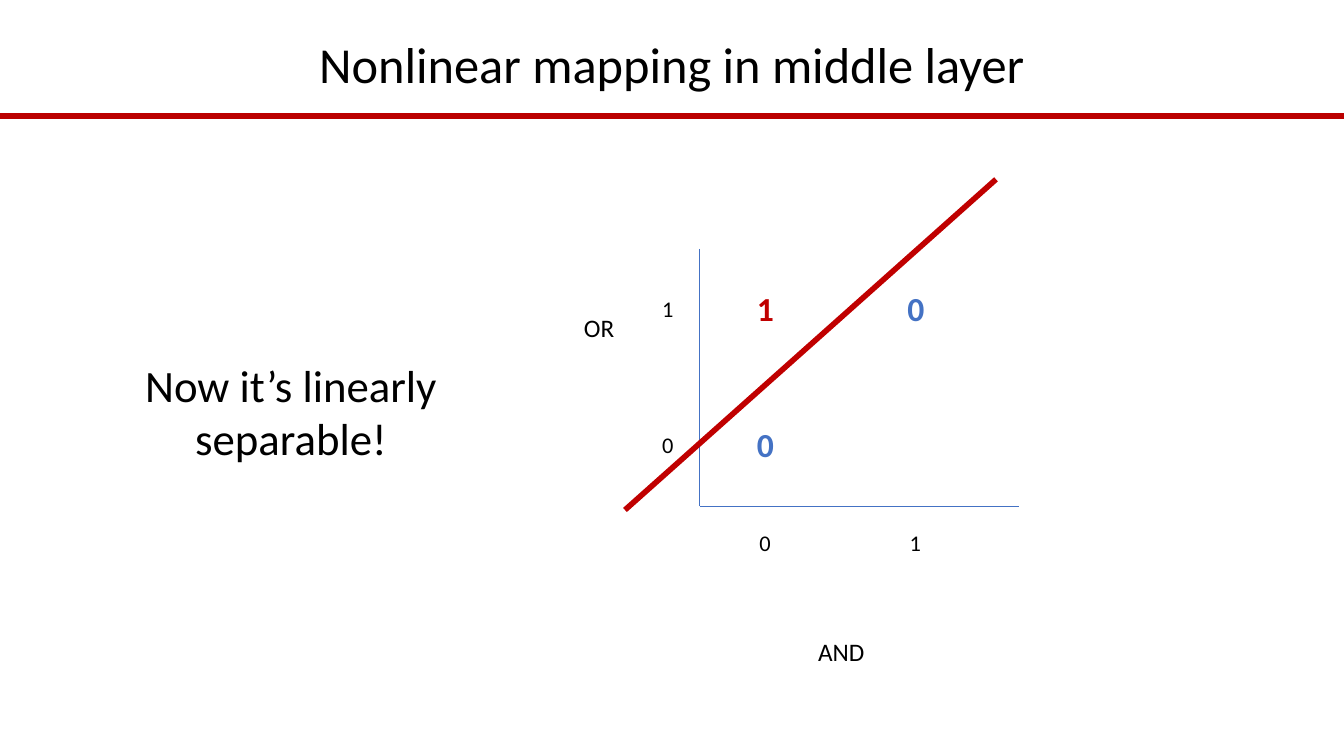
from lxml import etree
from pptx import Presentation
from pptx.dml.color import RGBColor
from pptx.enum.shapes import MSO_CONNECTOR
from pptx.enum.text import MSO_ANCHOR, PP_ALIGN
from pptx.oxml.ns import qn
from pptx.util import Cm, Pt

STRAIGHT = MSO_CONNECTOR.STRAIGHT
CENTER = PP_ALIGN.CENTER
MIDDLE = MSO_ANCHOR.MIDDLE
BLACK, RED, BLUE = "000000", "C00000", "4472C4"
SLIDE_W, SLIDE_H = 33.87, 19.05


def color(value):
    """Turn a hex string into a colour."""
    return RGBColor.from_string(value)


def add_line(s, x1, y1, x2, y2, hex_color, width):
    """Draw a straight line without a shadow."""
    line = s.shapes.add_connector(STRAIGHT, Cm(x1), Cm(y1), Cm(x2), Cm(y2))
    line.line.color.rgb = color(hex_color)
    line.line.width = Pt(width)
    etree.SubElement(line._element.spPr, qn("a:effectLst"))


def add_text(s, text, x, y, w, h, size, hex_color=BLACK, bold=False, wrap=True):
    """Place centred text in a box and return its paragraph."""
    tf = s.shapes.add_textbox(Cm(x), Cm(y), Cm(w), Cm(h)).text_frame
    tf.word_wrap = wrap
    tf.vertical_anchor = MIDDLE
    p = tf.paragraphs[0]
    p.alignment = CENTER
    r = p.add_run()
    r.text = text
    for name, value in {"name": "Calibri", "size": Pt(size), "bold": bold}.items():
        setattr(r.font, name, value)
    r.font.color.rgb = color(hex_color)
    return p


def add_label(s, text, cx, cy, w, h, size, hex_color=BLACK, bold=False):
    """Centre a one-line label on a point."""
    add_text(s, text, cx - w / 2, cy - h / 2, w, h, size, hex_color, bold, wrap=False)


def add_header(s, x, y, w, h):
    """Place the title with the rule below it."""
    add_line(s, x, y + h, x + w, y + h, "BB0000", 4)
    title = add_text(s, "Nonlinear mapping in middle layer",
                     x + 2.33, y + 0.86, w - 4.66, 1.68, 36)
    title.line_spacing = 0.9


def add_plot(s, x, y, w, h):
    """Draw the AND/OR plane, its values and the separating line."""
    bottom = y + h
    columns = {str(i): x + 1.6 + 3.79 * i for i in range(2)}
    rows = {str(i): bottom - 1.56 - 3.42 * i for i in range(2)}
    add_line(s, x, y, x, bottom, BLUE, 0.5)
    add_line(s, x, bottom, x + w, bottom, BLUE, 0.5)
    for and_value, or_value, output, shade in (
            ("0", "1", "1", RED), ("1", "1", "0", BLUE), ("0", "0", "0", BLUE)):
        add_label(s, output, columns[and_value], rows[or_value],
                  0.81, 1.12, 24, shade, True)
    ticks = [(t, cx, bottom + 0.91) for t, cx in columns.items()]
    ticks += [(t, x - 0.85, cy) for t, cy in rows.items()]
    for text, cx, cy in ticks:
        add_label(s, text, cx, cy, 0.69, 0.81, 16)
    add_label(s, "AND", x + 3.57, bottom + 3.67, 1.7, 1.02, 18)
    add_label(s, "OR", x - 2.53, y + 1.97, 1.3, 1.02, 18)
    add_line(s, x + 7.47, y - 1.75, x - 1.88, bottom + 0.1, RED, 4)


def add_conclusion(s, x, y, w, h):
    """Place the remark beside the plot."""
    add_text(s, "Now it’s linearly separable!", x, y, w, h, 32)


def main():
    """Build and save the slide."""
    prs = Presentation()
    prs.slide_width, prs.slide_height = Cm(SLIDE_W), Cm(SLIDE_H)
    s = prs.slides.add_slide(prs.slide_layouts[6])
    add_header(s, 0, 0, SLIDE_W, 2.92)
    add_plot(s, 17.63, 6.27, 8.05, 6.48)
    add_conclusion(s, 3.18, 8.86, 8.31, 3)
    prs.save("out.pptx")


if __name__ == "__main__":
    main()
